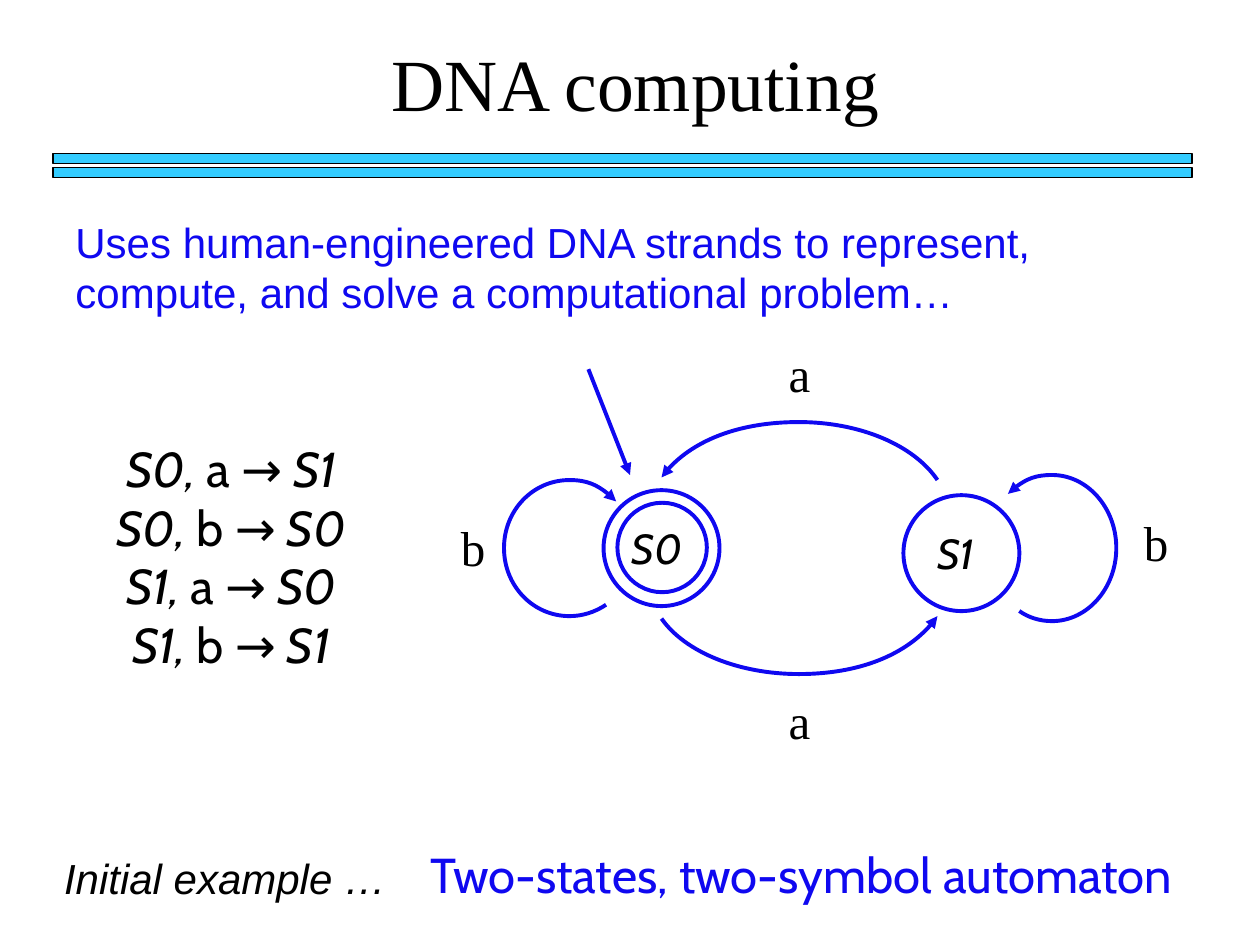
"""Build the DNA computing slide with its two-state automaton."""
import lxml.etree
import pptx
import pptx.dml.color
import pptx.enum.shapes
import pptx.enum.text
import pptx.oxml.ns
import pptx.util

Inches = pptx.util.Inches
Pt = pptx.util.Pt
qn = pptx.oxml.ns.qn
SHAPE = pptx.enum.shapes.MSO_SHAPE
ALIGN = pptx.enum.text.PP_ALIGN
BLUE = pptx.dml.color.RGBColor(0x0F, 0x08, 0xF0)
CYAN = pptx.dml.color.RGBColor(0x33, 0xCC, 0xFF)
BLACK = pptx.dml.color.RGBColor(0, 0, 0)


def write(sp, lines, size, name, color, align, wrap=True):
    tf = sp.text_frame
    tf.word_wrap = wrap
    tf.vertical_anchor = pptx.enum.text.MSO_ANCHOR.TOP
    for i, runs in enumerate(lines):
        p = tf.paragraphs[0] if i == 0 else tf.add_paragraph()
        p.alignment = align
        for text, italic in runs:
            r = p.add_run()
            r.text = text
            values = {"size": Pt(size), "name": name, "italic": italic}
            for key, value in values.items():
                setattr(r.font, key, value)
            r.font.color.rgb = color


def outline(sp, arrow=None):
    sp.line.color.rgb = BLUE
    sp.line.width = Pt(2.25)
    if arrow:
        ln = sp.line._get_or_add_ln()
        lxml.etree.SubElement(ln, qn(arrow), type="triangle")


prs = pptx.Presentation()
prs.slide_width, prs.slide_height = Inches(10), Inches(7.5)
s = prs.slides.add_slide(prs.slide_layouts[5])

title = s.shapes.title
frame = {"left": 0.5, "top": 0.25, "width": 9.08, "height": 0.8}
for key, value in frame.items():
    setattr(title, key, Inches(value))
write(title, [[("DNA computing", False)]], 42, "Times New Roman", BLACK, ALIGN.CENTER)

rule = s.shapes.add_group_shape()
for top in (1.22, 1.33):
    sp = rule.shapes.add_shape(
        SHAPE.RECTANGLE, Inches(0.42), Inches(top), Inches(9.04), Inches(0.08))
    sp.shadow.inherit = False
    sp.fill.solid()
    sp.fill.fore_color.rgb = CYAN
    sp.line.color.rgb = BLACK
    sp.line.width = Pt(0.75)

intro = ("Uses human-engineered DNA strands to represent, "
         "compute, and solve a computational problem…")
moves = [("S0", "a", "S1"), ("S0", "b", "S0"), ("S1", "a", "S0"), ("S1", "b", "S1")]
rules = [[(f"{a}, ", True), (symbol, False), (f" → {b}", True)] for a, symbol, b in moves]

texts = [
    (0.5, 1.67, 8.58, 0.9, [[(intro, False)]], 24, "Arial", BLUE, ALIGN.LEFT),
    (0.41, 6.72, 6.78, 0.5, [[("Initial example …", True)]], 24, "Arial", BLACK, ALIGN.LEFT),
    (0.67, 3.43, 2.33, 1.97, rules, 28, "Cabin", BLACK, ALIGN.CENTER),
]
for x, y, state in ((7.25, 4.14, "S1"), (4.88, 4.1, "S0")):
    texts.append((x, y, 0.67, 0.5, [[(state, True)]], 24, "Cabin", BLACK, ALIGN.CENTER))
for x, y, symbol in ((5.84, 2.68, "a"), (3.25, 4.06, "b"), (5.84, 5.43, "a"), (8.67, 4.02, "b")):
    texts.append((x, y, 1.01, 0.57, [[(symbol, False)]],
                  28, "Times New Roman", BLACK, ALIGN.CENTER))
texts.append((3.32, 6.65, 6.4, 0.57, [[("Two-states, two-symbol automaton", False)]],
              28, "Cabin", BLUE, ALIGN.LEFT, False))
for x, y, w, h, *content in texts:
    sp = s.shapes.add_textbox(Inches(x), Inches(y), Inches(w), Inches(h))
    write(sp, *content)

entry = s.shapes.add_connector(
    pptx.enum.shapes.MSO_CONNECTOR.STRAIGHT,
    Inches(4.67), Inches(2.93), Inches(5), Inches(3.77))
outline(entry, "a:tailEnd")
lxml.etree.SubElement(entry._element.spPr, qn("a:effectLst"))

for x, y, d in ((7.17, 3.93, 0.92), (4.79, 3.89, 0.92), (4.9, 3.99, 0.71)):
    sp = s.shapes.add_shape(SHAPE.OVAL, Inches(x), Inches(y), Inches(d), Inches(d))
    sp.shadow.inherit = False
    sp.fill.background()
    outline(sp)

right_loop = [(8.09, 4.85), (8.16, 4.9), (8.25, 4.93), (8.35, 4.93),
              (8.63, 4.93), (8.86, 4.67), (8.86, 4.35),
              (8.86, 4.03), (8.63, 3.77), (8.35, 3.77),
              (8.22, 3.77), (8.1, 3.82), (8, 3.92)]
left_loop = [(4.81, 4.8), (4.72, 4.86), (4.62, 4.89), (4.52, 4.89),
             (4.23, 4.89), (4, 4.65), (4, 4.35),
             (4, 4.05), (4.23, 3.81), (4.52, 3.81),
             (4.66, 3.81), (4.79, 3.87), (4.89, 3.98)]
lower_arc = [(7.44, 4.89), (7.25, 5.17), (6.82, 5.35), (6.34, 5.35),
             (5.87, 5.35), (5.44, 5.18), (5.25, 4.91)]
upper_arc = [(x, 8.7 - y) for x, y in lower_arc]
curves = [(right_loop, "a:tailEnd"), (lower_arc, "a:headEnd"),
          (upper_arc, "a:tailEnd"), (left_loop, "a:tailEnd")]
for curve, arrow in curves:
    points = [(Inches(x), Inches(y)) for x, y in curve]
    builder = s.shapes.build_freeform(*points[0])
    builder.add_line_segments(points[1:], close=False)
    sp = builder.convert_to_shape()
    sp.shadow.inherit = False
    sp.fill.background()
    outline(sp, arrow)
    track = next(sp._element.iter(qn("a:path")))
    for i, segment in enumerate(track.findall(qn("a:lnTo"))):
        if i % 3 == 0:
            bezier = lxml.etree.SubElement(track, qn("a:cubicBezTo"))
        bezier.append(segment[0])
        track.remove(segment)

prs.save("out.pptx")
